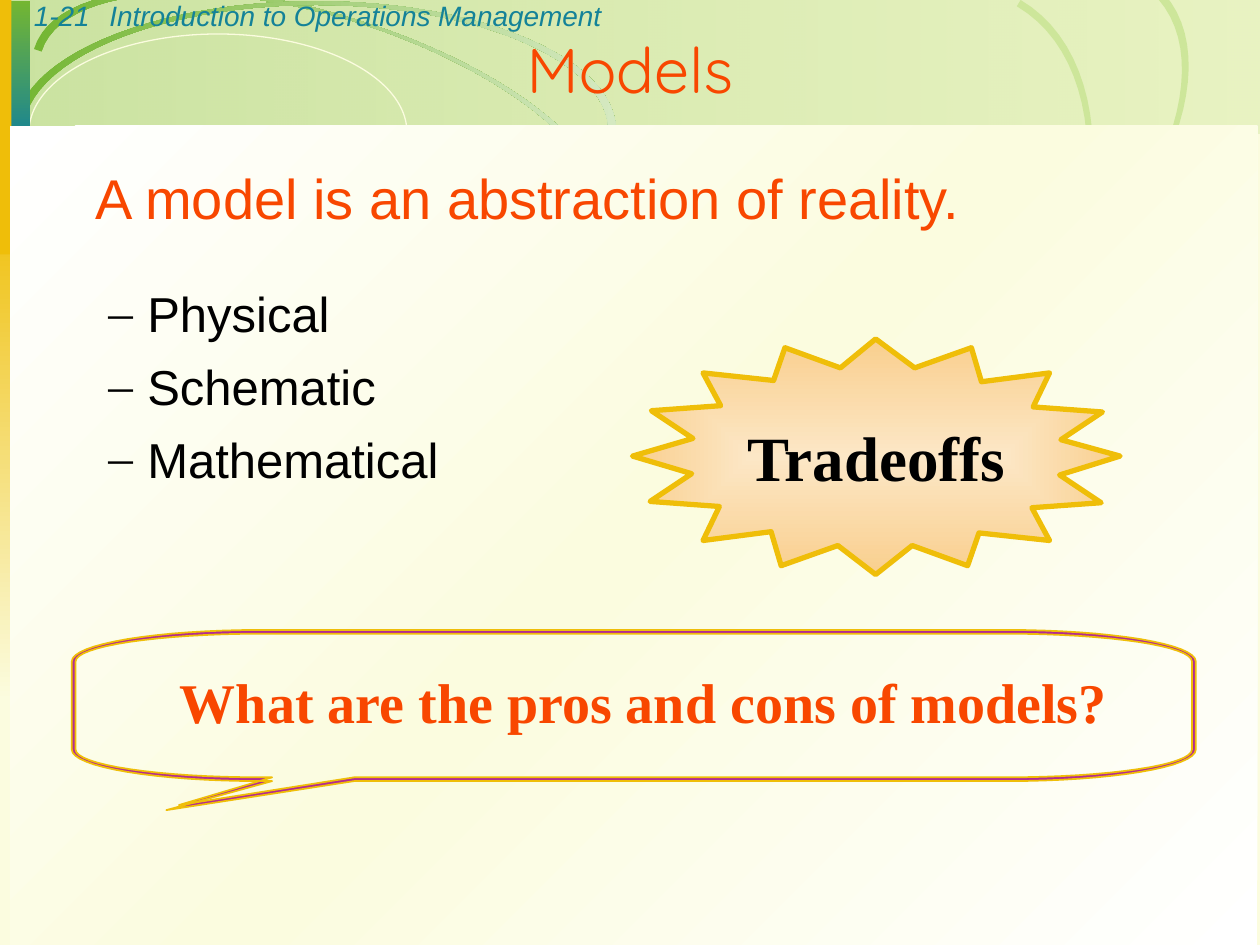
import math

import lxml.etree
import pptx
import pptx.dml.color
import pptx.enum.shapes
import pptx.enum.text
import pptx.oxml.ns
import pptx.util

COLORS = {
    "cream": "FBFCDF", "white": "FFFFFF", "green": "74B632", "lime": "BCDD7B",
    "mist": "D5E9C1", "leaf": "CDE69A", "teal": "148298", "gold": "EFBE09",
    "orange": "F84700", "purple": "B22A92", "black": "000000",
    "peach": "FCE7C6", "apricot": "F9CF8E",
}
SANS, SERIF, ROUND = "Arial", "Times New Roman", "Quicksand"

# Content; all positions below are in inches
NUMBER, COURSE = "1-21", "Introduction to Operations Management"
TITLE = "Models"
DEFINITION = "A model is an abstraction of reality."
MODEL_TYPES = ["Physical", "Schematic", "Mathematical"]
BURST_WORD = "Tradeoffs"
QUESTION = "What are the pros and cons of models?"

# Curved bands: start point, then curves (6 numbers) and straight lines (2 numbers)
TILTED_SWIRL = [(0.33, 0.41), (0.49, -0.1, 1.61, -0.2, 2.84, 0.18),
                (4.06, 0.57, 4.92, 1.29, 4.76, 1.8), (4.82, 1.82),
                (4.99, 1.3, 4.1, 0.55, 2.84, 0.16),
                (1.59, -0.24, 0.43, -0.14, 0.27, 0.39)]
LEVEL_SWIRL = [(0.19, 1.04), (0.19, 0.49, 1.23, 0.04, 2.51, 0.04),
               (3.79, 0.04, 4.83, 0.49, 4.83, 1.04), (4.89, 1.04),
               (4.89, 0.47, 3.83, 0.01, 2.51, 0.01),
               (1.19, 0.01, 0.12, 0.47, 0.12, 1.04)]
RIGHT_SWIRLS = [
    [(5.73, 3.08), (6.19, 3.6, 7.34, 3.33, 8.3, 2.48),
     (9.25, 1.62, 9.65, 0.51, 9.19, -0.01), (9.24, -0.05),
     (9.71, 0.48, 9.3, 1.62, 8.32, 2.5), (7.34, 3.38, 6.16, 3.66, 5.68, 3.13)],
    [(5.7, 4.04), (6.41, 4.46, 7.51, 3.91, 8.17, 2.81),
     (8.82, 1.71, 8.78, 0.47, 8.07, 0.05), (8.1, 0),
     (8.83, 0.43, 8.87, 1.7, 8.2, 2.83), (7.53, 3.96, 6.39, 4.53, 5.67, 4.1)],
]
BURST = [(5.02, 3.62), (5.49, 3.76), (5.16, 3.98), (5.71, 4.02), (5.58, 4.29),
         (6.12, 4.22), (6.2, 4.49), (6.65, 4.33), (6.95, 4.56), (7.24, 4.33),
         (7.68, 4.49), (7.77, 4.23), (8.33, 4.29), (8.19, 4.03), (8.74, 3.99),
         (8.41, 3.77), (8.89, 3.62), (8.42, 3.49), (8.75, 3.27), (8.2, 3.23),
         (8.33, 2.96), (7.79, 3.03), (7.71, 2.76), (7.26, 2.92), (6.95, 2.69),
         (6.67, 2.92), (6.23, 2.76), (6.14, 3.02), (5.58, 2.96), (5.72, 3.22),
         (5.17, 3.26), (5.5, 3.48)]


def length(inches):
    return pptx.util.Cm(inches * 2.54)


def rgb(name):
    return pptx.dml.color.RGBColor.from_string(COLORS[name])


def add_xml(parent, tag, **attributes):
    element = lxml.etree.SubElement(parent, pptx.oxml.ns.qn(tag))
    for key, value in attributes.items():
        element.set(key, str(value))
    return element


def paint(shape, fill=None, line=None, width=1, angle=0):
    """Fill is a colour name, a list of (position, colour, opacity) stops or None."""
    shape.shadow.inherit = False
    if isinstance(fill, str):
        shape.fill.solid()
        shape.fill.fore_color.rgb = rgb(fill)
    else:
        shape.fill.background()
    if isinstance(fill, list):
        properties = shape.element.spPr
        blend = add_xml(properties, "a:gradFill", rotWithShape=1)
        stops = add_xml(blend, "a:gsLst")
        for position, name, opacity in fill:
            stop = add_xml(stops, "a:gs", pos=position * 1000)
            color = add_xml(stop, "a:srgbClr", val=COLORS[name])
            if opacity < 100:
                add_xml(color, "a:alpha", val=opacity * 1000)
        if angle is None:
            center = add_xml(blend, "a:path", path="rect")
            add_xml(center, "a:fillToRect", l=50000, t=50000, r=50000, b=50000)
        else:
            add_xml(blend, "a:lin", ang=angle * 60000, scaled=0)
        properties.replace(properties.find(pptx.oxml.ns.qn("a:noFill")), blend)
    if line:
        shape.line.color.rgb = rgb(line)
        shape.line.width = pptx.util.Pt(width)
    else:
        shape.line.fill.background()
    return shape


def add_preset(slide, kind, box, **style):
    return paint(slide.shapes.add_shape(kind, *map(length, box)), **style)


def add_outline(slide, *contours, **style):
    contours = [[(length(x), length(y)) for x, y in points] for points in contours]
    builder = slide.shapes.build_freeform(*contours[0][0])
    for index, points in enumerate(contours):
        if index:
            builder.move_to(*points[0])
        builder.add_line_segments(points[1:], close=True)
    return paint(builder.convert_to_shape(), **style)


def trace(band, steps=24):
    points = [band[0]]
    for part in band[1:]:
        if len(part) == 2:
            points.append(part)
            continue
        controls = [points[-1], part[:2], part[2:4], part[4:]]
        for t in (step / steps for step in range(1, steps + 1)):
            weights = ((1 - t) ** 3, 3 * t * (1 - t) ** 2, 3 * t * t * (1 - t), t ** 3)
            points.append(tuple(sum(w * c[axis] for w, c in zip(weights, controls))
                                for axis in (0, 1)))
    return points


def balloon(inset, tail, steps=16):
    """Rounded outline with elliptical corners and a tail on the bottom edge."""
    left, top, right, bottom = 0.57 + inset, 5 + inset, 9.49 - inset, 6.2 - inset
    wide, high = 1.5 - inset, 0.25 - inset
    corners = [(right - wide, bottom - high, 0), (left + wide, bottom - high, 90),
               (left + wide, top + high, 180), (right - wide, top + high, 270)]
    points = []
    for x, y, start in corners:
        for step in range(steps + 1):
            turn = math.radians(start + 90 * step / steps)
            points.append((x + wide * math.cos(turn), y + high * math.sin(turn)))
        if start == 0:
            points += [(2.81, bottom), tail, (2.16, bottom)]
    return points


def write(holder, text, size, font=SANS, color="black", bold=False, italic=False,
          align="LEFT", anchor="TOP", wrap=True, gap=0):
    frame = holder.text_frame
    frame.auto_size = pptx.enum.text.MSO_AUTO_SIZE.NONE
    frame.word_wrap = wrap
    frame.vertical_anchor = getattr(pptx.enum.text.MSO_ANCHOR, anchor)
    lines = [text] if isinstance(text, str) else text
    for index, line in enumerate(lines):
        paragraph = frame.add_paragraph() if index else frame.paragraphs[0]
        paragraph.alignment = getattr(pptx.enum.text.PP_ALIGN, align)
        paragraph.space_before = pptx.util.Pt(gap if index else 0)
        run = paragraph.add_run()
        run.text = line
        run.font.size, run.font.name = pptx.util.Pt(size), font
        run.font.bold, run.font.italic = bold, italic
        run.font.color.rgb = rgb(color)
    return frame


def place(holder, box):
    holder.left, holder.top, holder.width, holder.height = map(length, box)
    holder.element.getparent().append(holder.element)  # in front of the backdrop
    return holder


def add_text(slide, box, text, size, **style):
    write(slide.shapes.add_textbox(*map(length, box)), text, size, **style)


def main():
    deck = pptx.Presentation()
    deck.slide_width, deck.slide_height = length(10), length(7.5)
    slide = deck.slides.add_slide(deck.slide_layouts[1])
    slide.background.fill.solid()
    slide.background.fill.fore_color.rgb = rgb("cream")
    rectangle = pptx.enum.shapes.MSO_SHAPE.RECTANGLE
    oval = pptx.enum.shapes.MSO_SHAPE.OVAL

    # Header band with swirls, side strip and body panel
    swirl_fill = [(0, "green", 100), (100, "mist", 100)]
    add_preset(slide, rectangle, (0.01, 0, 9.99, 1.06),
               fill=[(0, "green", 36), (100, "lime", 29)])
    add_outline(slide, trace(TILTED_SWIRL), fill=swirl_fill)
    add_preset(slide, oval, (0.23, 0.27, 3, 1.56), line="cream", width=0.75)
    add_preset(slide, rectangle, (0, 1.55, 0.22, 4.01), angle=90,
               fill=[(0, "gold", 100), (100, "cream", 100)])
    for swirl in RIGHT_SWIRLS:
        add_outline(slide, trace(swirl), fill="leaf")
    add_outline(slide, trace(LEVEL_SWIRL), fill=swirl_fill)
    add_preset(slide, rectangle, (0.01, 0.01, 0.23, 1.14), angle=90,
               fill=[(0, "green", 100), (100, "teal", 100)])
    add_preset(slide, rectangle, (0, 0, 0.09, 2.02), fill="gold")
    add_preset(slide, rectangle, (0.08, 1, 9.9, 6.5), angle=45,
               fill=[(0, "white", 100), (50, "cream", 100), (100, "white", 100)])

    # Running head, title and definition
    for left, width, text in ((0.17, 0.92, NUMBER), (0.77, 8.67, COURSE)):
        add_text(slide, (left, -0.06, width, 0.37), text, 16, color="teal", italic=True)
    write(place(slide.shapes.title, (0, 0.19, 10, 0.7)), TITLE, 36,
          font=ROUND, color="orange", align="CENTER")
    add_text(slide, (0.66, 1.25, 9.08, 0.63), DEFINITION, 32, color="orange")

    # Dashed list of model types
    types = write(place(slide.placeholders[1], (0.76, 2.2, 3.6, 1.75)),
                  MODEL_TYPES, 28, gap=8)
    for paragraph in types.paragraphs:
        properties = paragraph._p.get_or_add_pPr()
        properties.set("marL", str(length(0.31)))
        properties.set("indent", str(-length(0.31)))
        add_xml(properties, "a:buFont", typeface=SERIF)
        add_xml(properties, "a:buChar", char="–")

    # Speech balloon and starburst
    add_outline(slide, balloon(0, (1.32, 6.43)), balloon(0.03, (1.42, 6.39)),
                fill="purple", line="gold")
    add_text(slide, (1.33, 5.25, 7.58, 0.63), QUESTION, 32, font=SERIF,
             color="orange", bold=True, wrap=False)
    burst = add_outline(slide, BURST, line="gold", width=3, angle=None,
                        fill=[(0, "peach", 100), (100, "apricot", 100)])
    write(burst, BURST_WORD, 36, font=SERIF, bold=True, align="CENTER",
          anchor="MIDDLE", wrap=False)

    deck.save("out.pptx")


if __name__ == "__main__":
    main()
